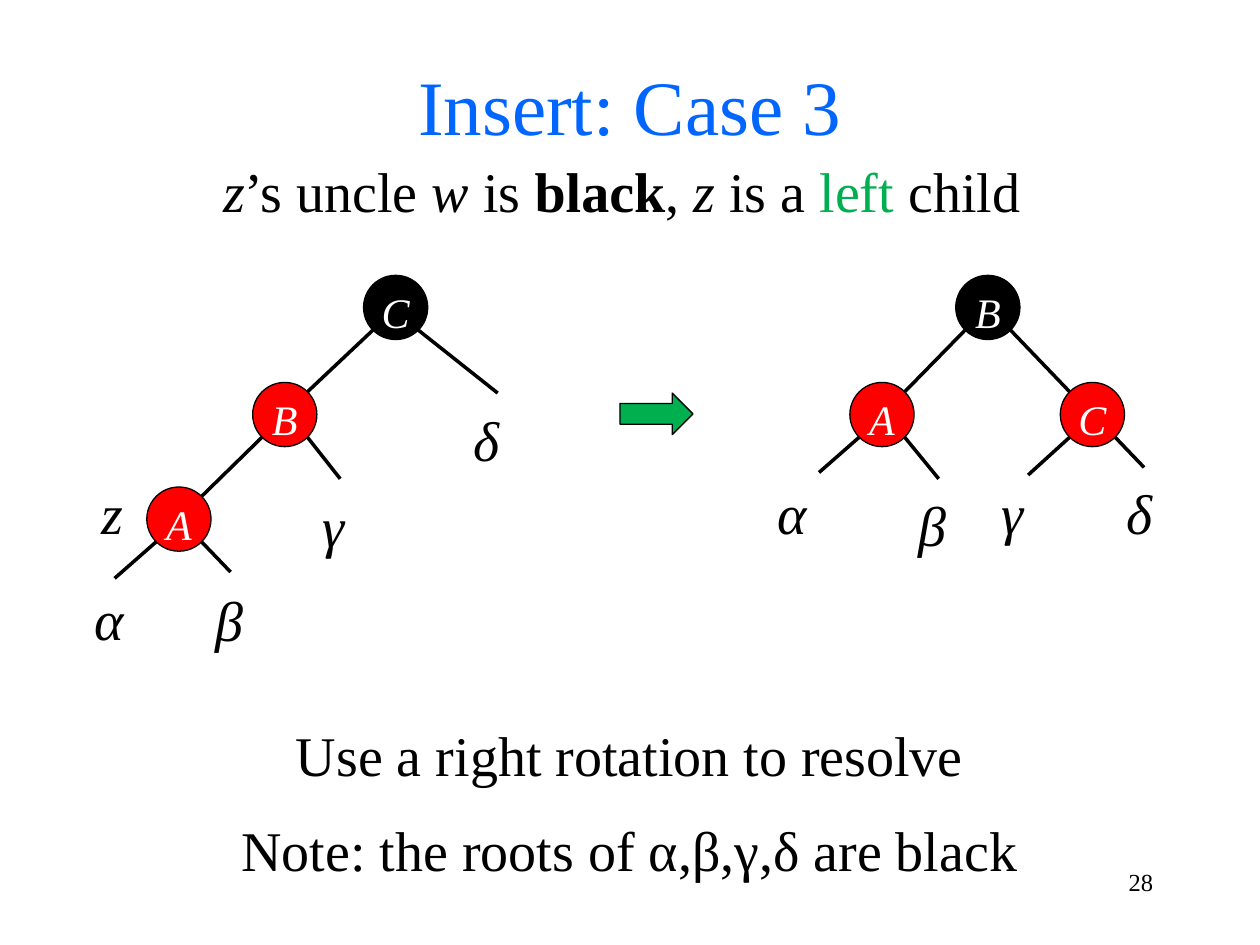
"""Build the slide on red-black tree insertion, case 3."""
from dataclasses import dataclass
from typing import NamedTuple

from lxml import etree
from pptx import Presentation
from pptx.dml.color import RGBColor
from pptx.enum.shapes import MSO_CONNECTOR, MSO_SHAPE
from pptx.enum.text import MSO_ANCHOR, PP_ALIGN
from pptx.oxml.ns import qn
from pptx.util import Inches, Pt

STRAIGHT = MSO_CONNECTOR.STRAIGHT
OVAL, RIGHT_ARROW = MSO_SHAPE.OVAL, MSO_SHAPE.RIGHT_ARROW
TOP, MIDDLE = MSO_ANCHOR.TOP, MSO_ANCHOR.MIDDLE
CENTER, RIGHT = PP_ALIGN.CENTER, PP_ALIGN.RIGHT


@dataclass(frozen=True)
class Theme:
    font: str = "Times New Roman"
    black: RGBColor = RGBColor(0, 0, 0)
    white: RGBColor = RGBColor(255, 255, 255)
    red: RGBColor = RGBColor(255, 0, 0)
    green: RGBColor = RGBColor(0, 0xB0, 0x50)
    blue: RGBColor = RGBColor(0, 0x66, 0xFF)
    title_size: Pt = Pt(44)
    body_size: Pt = Pt(32)
    node_size: Pt = Pt(24)
    number_size: Pt = Pt(14)
    outline: Pt = Pt(0.75)
    edge: Pt = Pt(2)


class Span(NamedTuple):
    text: str
    italic: bool = False
    bold: bool = False
    color: RGBColor = Theme.black


class Node(NamedTuple):
    name: str
    x: float
    y: float
    fill: RGBColor = Theme.red


class Leaf(NamedTuple):
    parent: str
    end_x: float
    end_y: float
    label: str
    label_x: float
    label_top: float


class Tree(NamedTuple):
    nodes: list[Node]
    edges: list[tuple[str, str]]
    leaves: list[Leaf]


THEME = Theme()
DIAMETER = 0.51
DIAGONAL = 0.18
LABEL_WIDTH = 0.64
LINE_HEIGHT = 0.64

BEFORE = Tree(
    [Node("C", 3.14, 2.44, THEME.black), Node("B", 2.26, 3.29), Node("A", 1.42, 4.12)],
    [("C", "B"), ("B", "A")],
    [Leaf("C", 3.95, 3.12, "δ", 3.86, 3.12),
     Leaf("B", 2.7, 3.8, "γ", 2.65, 3.8),
     Leaf("A", 0.91, 4.59, "α", 0.87, 4.54),
     Leaf("A", 1.83, 4.54, "β", 1.82, 4.55)],
)
AFTER = Tree(
    [Node("B", 7.84, 2.44, THEME.black), Node("A", 7.0, 3.29), Node("C", 8.67, 3.29)],
    [("B", "A"), ("B", "C")],
    [Leaf("A", 6.5, 3.75, "α", 6.29, 3.7),
     Leaf("A", 7.45, 3.8, "β", 7.4, 3.79),
     Leaf("C", 8.16, 3.77, "γ", 8.04, 3.7),
     Leaf("C", 9.08, 3.71, "δ", 9.04, 3.7)],
)
SUBTITLE = [
    Span("z", italic=True), Span("’s uncle "), Span("w", italic=True), Span(" is "),
    Span("black", bold=True), Span(", "), Span("z", italic=True), Span(" is a "),
    Span("left", color=THEME.green), Span(" child"),
]


def set_font(font, size: Pt, color: RGBColor, italic: bool = False) -> None:
    """Apply the theme typeface with a size, colour and slant."""
    font.name, font.size, font.italic = THEME.font, size, italic
    font.color.rgb = color


def add_text(page, text: str, left: float, top: float, width: float,
             height: float = LINE_HEIGHT, size: Pt = THEME.body_size,
             color: RGBColor = THEME.black, italic: bool = False,
             align: PP_ALIGN = CENTER, anchor: MSO_ANCHOR = TOP,
             top_inset: float = 0.1):
    """Add a one-paragraph text box and return its paragraph."""
    box = page.shapes.add_textbox(Inches(left), Inches(top), Inches(width), Inches(height))
    frame = box.text_frame
    frame.word_wrap = True
    frame.vertical_anchor = anchor
    frame.margin_top = Inches(top_inset)
    para = frame.paragraphs[0]
    para.text = text
    para.alignment = align
    set_font(para.font, size, color, italic)
    return para


def add_spans(para, spans: list[Span]) -> None:
    """Append differently styled runs to a paragraph."""
    for span in spans:
        run = para.add_run()
        run.text = span.text
        run.font.italic, run.font.bold = span.italic, span.bold
        run.font.color.rgb = span.color


def add_filled(page, kind: MSO_SHAPE, left: float, top: float, width: float,
               height: float, fill: RGBColor):
    """Add a filled preset shape with a thin black outline."""
    shape = page.shapes.add_shape(kind, Inches(left), Inches(top), Inches(width), Inches(height))
    shape.shadow.inherit = False
    shape.fill.solid()
    shape.fill.fore_color.rgb = fill
    shape.line.color.rgb = THEME.black
    shape.line.width = THEME.outline
    return shape


def add_node(page, node: Node) -> None:
    """Draw a tree node centred on its position."""
    circle = add_filled(page, OVAL, node.x - DIAMETER / 2, node.y - DIAMETER / 2,
                        DIAMETER, DIAMETER, node.fill)
    frame = circle.text_frame
    frame.margin_left = frame.margin_right = frame.margin_bottom = 0
    frame.margin_top = Inches(0.07)
    frame.vertical_anchor = MIDDLE
    para = frame.paragraphs[0]
    para.text = node.name
    para.alignment = CENTER
    set_font(para.font, THEME.node_size, THEME.white, italic=True)


def add_edge(page, parent: Node, end_x: float, end_y: float) -> None:
    """Draw a line from the lower diagonal of a node to a point."""
    side = DIAGONAL if end_x > parent.x else -DIAGONAL
    line = page.shapes.add_connector(
        STRAIGHT, Inches(parent.x + side), Inches(parent.y + DIAGONAL),
        Inches(end_x), Inches(end_y))
    line.line.color.rgb = THEME.black
    line.line.width = THEME.edge
    etree.SubElement(line._element.spPr, qn("a:effectLst"))


def add_label(page, text: str, center_x: float, top: float) -> None:
    """Add an italic label centred on a horizontal position."""
    add_text(page, text, center_x - LABEL_WIDTH / 2, top, LABEL_WIDTH, italic=True)


def add_tree(page, tree: Tree) -> None:
    """Draw the nodes, edges and labelled subtrees of a tree."""
    by_name = {node.name: node for node in tree.nodes}
    for node in tree.nodes:
        add_node(page, node)
    for parent_name, child_name in tree.edges:
        parent, child = by_name[parent_name], by_name[child_name]
        side = DIAGONAL if child.x < parent.x else -DIAGONAL
        add_edge(page, parent, child.x + side, child.y - DIAGONAL)
    for leaf in tree.leaves:
        add_edge(page, by_name[leaf.parent], leaf.end_x, leaf.end_y)
        add_label(page, leaf.label, leaf.label_x, leaf.label_top)


def main() -> None:
    """Build and save the deck."""
    deck = Presentation()
    deck.slide_width, deck.slide_height = Inches(10), Inches(7.5)
    page = deck.slides.add_slide(deck.slide_layouts[6])
    add_text(page, "Insert: Case 3", 0, 0.32, 10, 1.02, THEME.title_size, THEME.blue,
             anchor=MIDDLE, top_inset=0.05)
    add_spans(add_text(page, "", 0, 1.14, 9.87), SUBTITLE)
    add_tree(page, BEFORE)
    add_label(page, "z", 0.89, 3.7)
    add_filled(page, RIGHT_ARROW, 4.92, 3.12, 0.58, 0.33, THEME.green)
    add_tree(page, AFTER)
    add_text(page, "Use a right rotation to resolve", 0, 5.62, 10)
    add_text(page, "Note: the roots of α,β,γ,δ are black", 0, 6.37, 10)
    add_text(page, "28", 7.17, 6.83, 2.08, 0.5, THEME.number_size,
             align=RIGHT, top_inset=0.05)
    deck.save("out.pptx")


if __name__ == "__main__":
    main()
